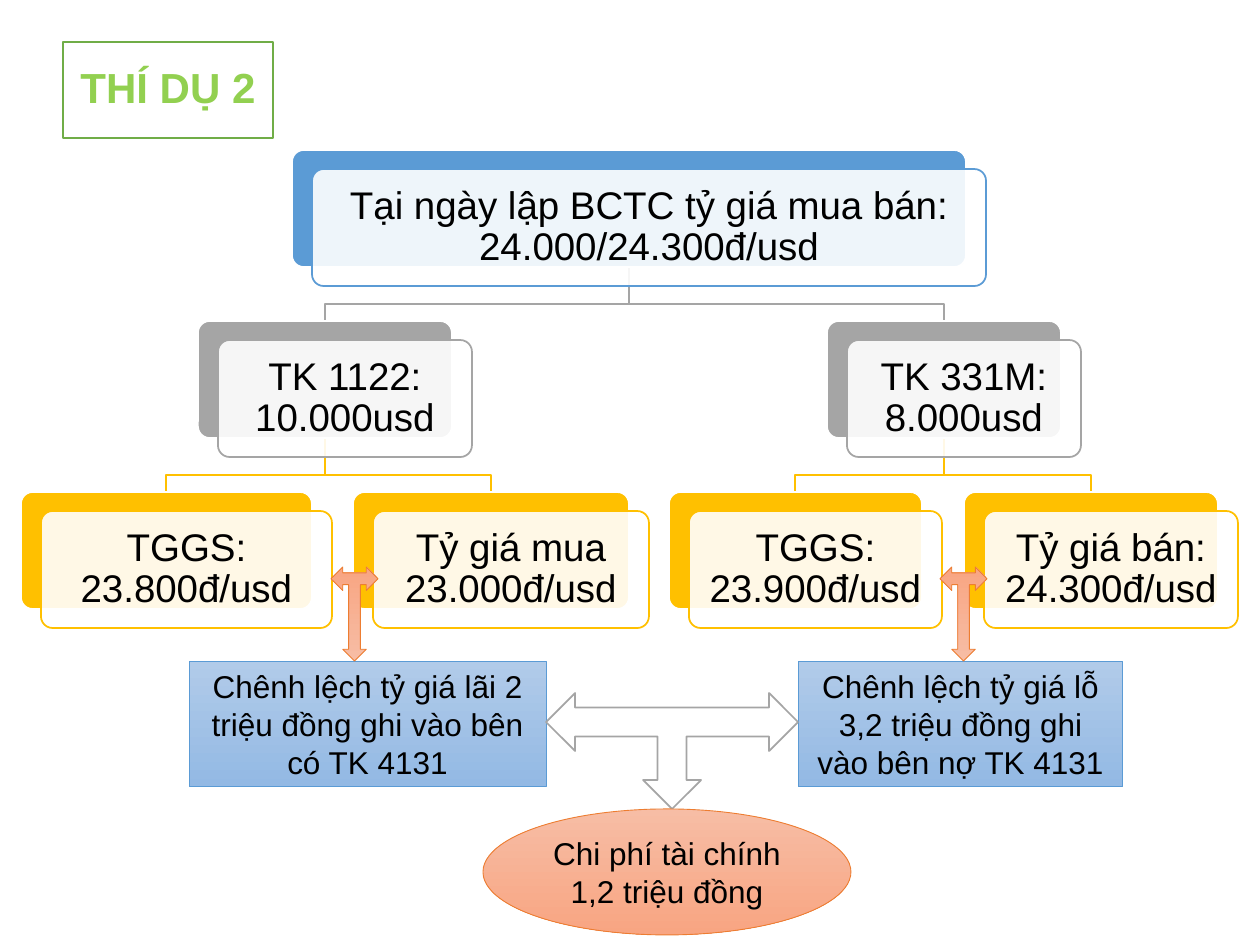
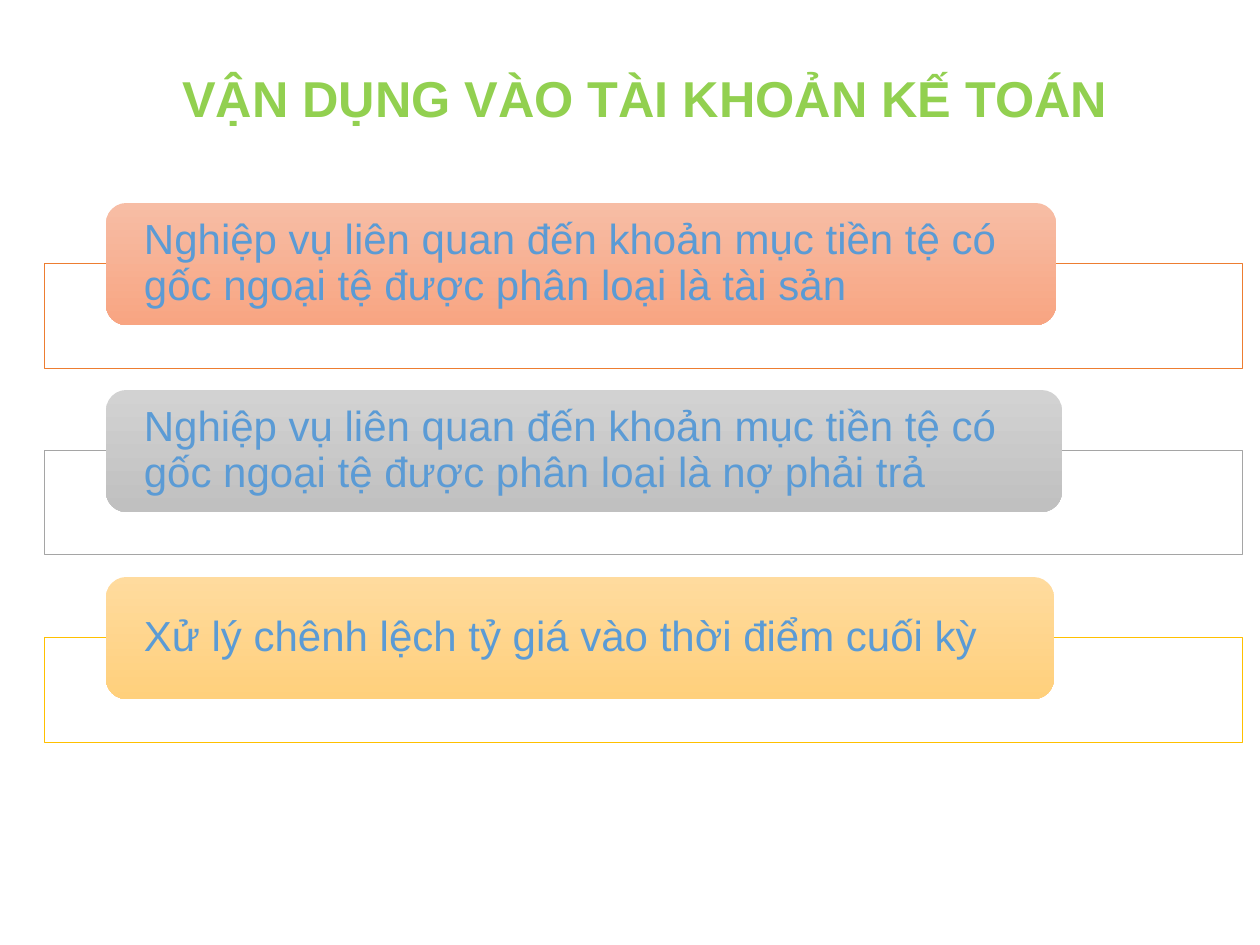
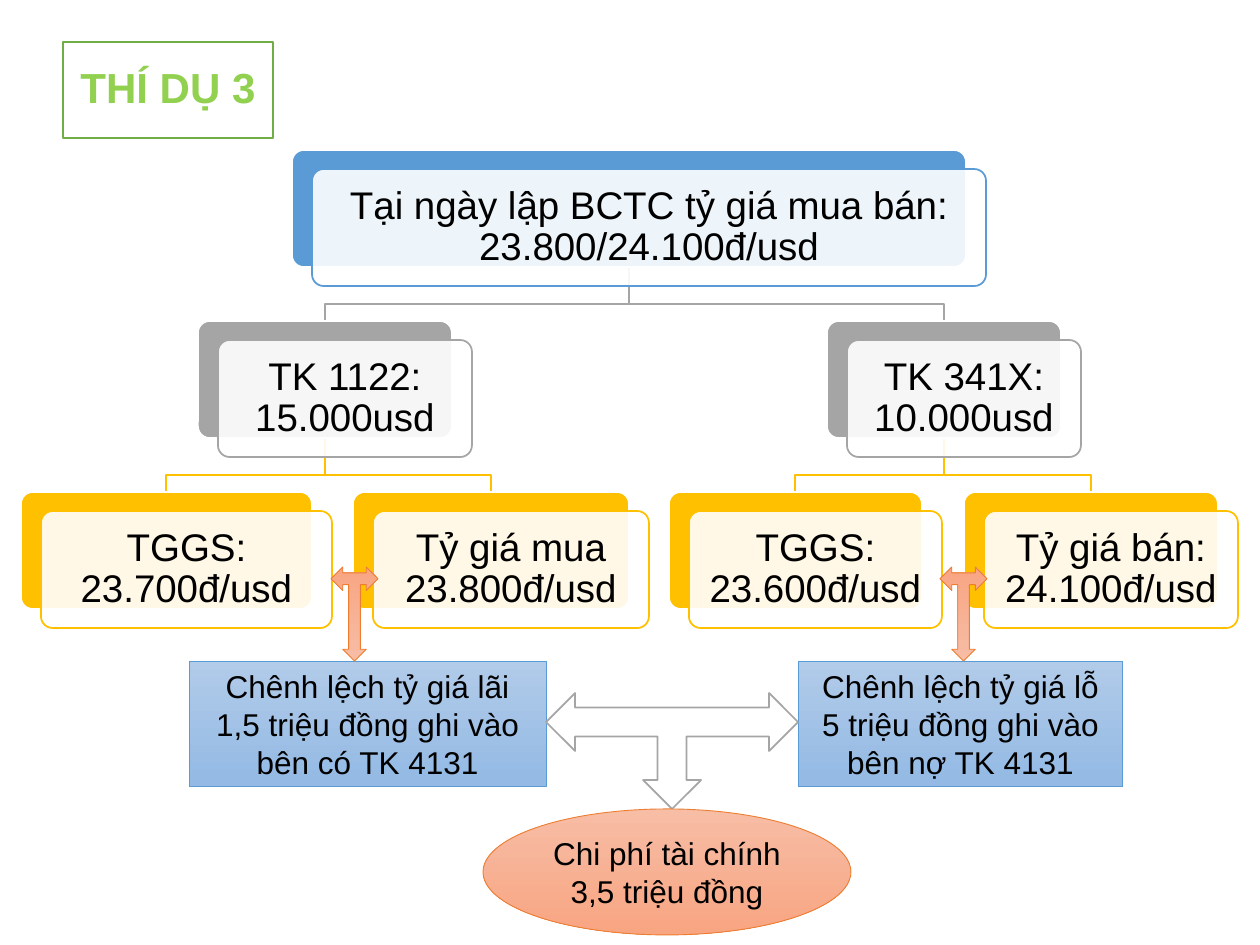
from pptx import Presentation
from pptx.dml.color import RGBColor
from pptx.enum.shapes import MSO_SHAPE
from pptx.enum.text import MSO_ANCHOR, PP_ALIGN
from pptx.oxml.ns import qn
from pptx.util import Pt
from lxml import etree

RECT = MSO_SHAPE.RECTANGLE
ROUND = MSO_SHAPE.ROUNDED_RECTANGLE
OVAL = MSO_SHAPE.OVAL
TEE = MSO_SHAPE.LEFT_RIGHT_UP_ARROW
MIDDLE = MSO_ANCHOR.MIDDLE
LEFT, CENTER = PP_ALIGN.LEFT, PP_ALIGN.CENTER

EMU_PER_PX = 914400 / 126
TITLE_ONLY = 5
COLORS = {
    "white": "FFFFFF", "black": "000000", "title": "92D050", "green": "70AD47",
    "blue": "5B9BD5", "gray": "A5A5A5", "gold": "FFC000", "orange": "ED7D31",
}
GRADIENTS = {
    "blue": ("B1CBE9", "93B9E4"), "gray": ("D2D2D2", "C0C0C0"),
    "gold": ("FFDB9E", "FFD07C"), "orange": ("F7BDA5", "F8A582"),
}

TIER_COLORS = ("blue", "gray", "gold")
TIER_TOP, TIER_PITCH, NODE_HEIGHT = 150, 171, 117
PANEL_DX, PANEL_DY, ELBOW_RISE = 20, 19, 17
# tier, left, width, parent index
NODES = (
    (0, 292, 674, None),
    (1, 198, 254, 0), (2, 21, 291, 1), (2, 353, 276, 1),
    (1, 827, 234, 0), (2, 669, 253, 4), (2, 964, 254, 4),
)


def px(n):
    return round(n * EMU_PER_PX)


def rgb(name):
    return RGBColor.from_string(COLORS[name])


class Deck:
    font = "Arial"

    def __init__(self):
        self.prs = Presentation()
        self.prs.slide_width, self.prs.slide_height = px(1260), px(945)

    def new_slide(self):
        self.s = self.prs.slides.add_slide(self.prs.slide_layouts[TITLE_ONLY])

    def outline(self, sp, color, width):
        if color:
            sp.line.color.rgb = rgb(color)
            sp.line.width = Pt(width)
        else:
            sp.line.fill.background()

    def solid(self, sp, color, alpha=None):
        sp.fill.solid()
        sp.fill.fore_color.rgb = rgb(color)
        if alpha:
            clr = sp._element.spPr.find(qn("a:solidFill")).find(qn("a:srgbClr"))
            etree.SubElement(clr, qn("a:alpha"), val=str(alpha * 1000))

    def gradient(self, sp, name):
        sp.fill.gradient()
        sp.fill.gradient_angle = 270
        for stop, color in zip(sp.fill.gradient_stops, GRADIENTS[name]):
            stop.color.rgb = RGBColor.from_string(color)

    def text(self, sp, text, size, color="black", bold=False, align=CENTER,
             spacing=1.0, inset=(13, 6)):
        tf = sp.text_frame
        frame = {"word_wrap": True, "vertical_anchor": MIDDLE,
                 "margin_left": px(inset[0]), "margin_right": px(inset[0]),
                 "margin_top": px(inset[1]), "margin_bottom": px(inset[1])}
        for key, value in frame.items():
            setattr(tf, key, value)
        p = tf.paragraphs[0]
        p.alignment, p.line_spacing = align, spacing
        r = p.add_run()
        r.text = text
        font = {"name": self.font, "size": Pt(size), "bold": bold}
        for key, value in font.items():
            setattr(r.font, key, value)
        r.font.color.rgb = rgb(color)

    def title(self, box, text, size, line, width):
        sp = self.s.shapes.title
        sp.left, sp.top, sp.width, sp.height = map(px, box)
        self.solid(sp, "white")
        self.outline(sp, line, width)
        self.text(sp, text, size, "title", bold=True, spacing=0.9)

    def shape(self, kind, box, fill=None, gradient=None, alpha=None,
              line=None, width=0.5, adj=None, rotation=0):
        sp = self.s.shapes.add_shape(kind, *map(px, box))
        sp.shadow.inherit = False
        sp.rotation = rotation
        if adj:
            sp.adjustments[0] = adj
        if gradient:
            self.gradient(sp, gradient)
        else:
            self.solid(sp, fill, alpha)
        self.outline(sp, line, width)
        return sp

    def elbow(self, x1, y1, x2, y2, color):
        y_mid = y2 - ELBOW_RISE
        fb = self.s.shapes.build_freeform(px(x1), px(y1))
        fb.add_line_segments([(px(x), px(y)) for x, y in
                              ((x1, y_mid), (x2, y_mid), (x2, y2))], close=False)
        sp = fb.convert_to_shape()
        sp.shadow.inherit = False
        sp.fill.background()
        self.outline(sp, color, 1)

    def node(self, x, y, w, color, text):
        self.shape(ROUND, (x, y, w, NODE_HEIGHT), color,
                   line="white", width=1, adj=0.1)
        sp = self.shape(ROUND, (x + PANEL_DX, y + PANEL_DY, w, NODE_HEIGHT), "white",
                        alpha=90, line=color, width=1, adj=0.1)
        self.text(sp, text, 22, spacing=0.9, inset=(11, 11))

    def tree(self, texts):
        for tier, x, w, parent in NODES:
            if parent is not None:
                above, px_left, p_width, _ = NODES[parent]
                self.elbow(px_left + p_width // 2,
                           TIER_TOP + above * TIER_PITCH + NODE_HEIGHT,
                           x + w // 2, TIER_TOP + tier * TIER_PITCH,
                           TIER_COLORS[tier])
        for (tier, x, w, _), text in zip(NODES, texts):
            self.node(x, TIER_TOP + tier * TIER_PITCH, w, TIER_COLORS[tier], text)

    def result(self, kind, box, color, text):
        sp = self.shape(kind, box, gradient=color, line=color)
        self.text(sp, text, 18)


def example_slide(deck, title, nodes, gain, loss, cost):
    deck.new_slide()
    deck.title((63, 42, 210, 96), title, 24, "green", 1)
    deck.tree(nodes)
    deck.result(RECT, (189, 661, 357, 126), "blue", gain)
    deck.result(RECT, (798, 661, 325, 126), "blue", loss)
    deck.shape(TEE, (546, 693, 252, 116), "white", line="gray", width=1, rotation=180)
    deck.result(OVAL, (483, 809, 368, 126), "orange", cost)
    for x in (331, 940):
        deck.shape(TEE, (x, 567, 47, 94), gradient="orange", line="orange", rotation=180)


def accounts_slide(deck):
    deck.new_slide()
    deck.title((149, 35, 992, 132), "VẬN DỤNG VÀO TÀI KHOẢN KẾ TOÁN", 28.8, "white", 0.5)
    topics = (
        ("orange", 950, "Nghiệp vụ liên quan đến khoản mục tiền tệ có gốc ngoại tệ "
                        "được phân loại là tài sản"),
        ("gray", 956, "Nghiệp vụ liên quan đến khoản mục tiền tệ có gốc ngoại tệ "
                      "được phân loại là nợ phải trả"),
        ("gold", 948, "Xử lý chênh lệch tỷ giá vào thời điểm cuối kỳ"),
    )
    for i, (color, w, text) in enumerate(topics):
        y = 203 + 187 * i
        deck.shape(RECT, (45, y + 60, 1198, 105), "white", alpha=90, line=color)
        sp = deck.shape(ROUND, (106, y, w, 122), gradient=color)
        deck.text(sp, text, 24, "blue", align=LEFT, spacing=0.9, inset=(32, 0))


def main():
    deck = Deck()
    example_slide(
        deck, "THÍ DỤ 2",
        ("Tại ngày lập BCTC tỷ giá mua bán: 24.000/24.300đ/usd",
         "TK 1122: 10.000usd", "TGGS: 23.800đ/usd", "Tỷ giá mua 23.000đ/usd",
         "TK 331M: 8.000usd", "TGGS: 23.900đ/usd", "Tỷ giá bán: 24.300đ/usd"),
        "Chênh lệch tỷ giá lãi 2 triệu đồng ghi vào bên có TK 4131",
        "Chênh lệch tỷ giá lỗ 3,2 triệu đồng ghi vào bên nợ TK 4131",
        "Chi phí tài chính 1,2 triệu đồng")
    accounts_slide(deck)
    example_slide(
        deck, "THÍ DỤ 3",
        ("Tại ngày lập BCTC tỷ giá mua bán: 23.800/24.100đ/usd",
         "TK 1122: 15.000usd", "TGGS: 23.700đ/usd", "Tỷ giá mua 23.800đ/usd",
         "TK 341X: 10.000usd", "TGGS: 23.600đ/usd", "Tỷ giá bán: 24.100đ/usd"),
        "Chênh lệch tỷ giá lãi 1,5 triệu đồng ghi vào bên có TK 4131",
        "Chênh lệch tỷ giá lỗ 5 triệu đồng ghi vào bên nợ TK 4131",
        "Chi phí tài chính 3,5 triệu đồng")
    deck.prs.save("out.pptx")


if __name__ == "__main__":
    main()
